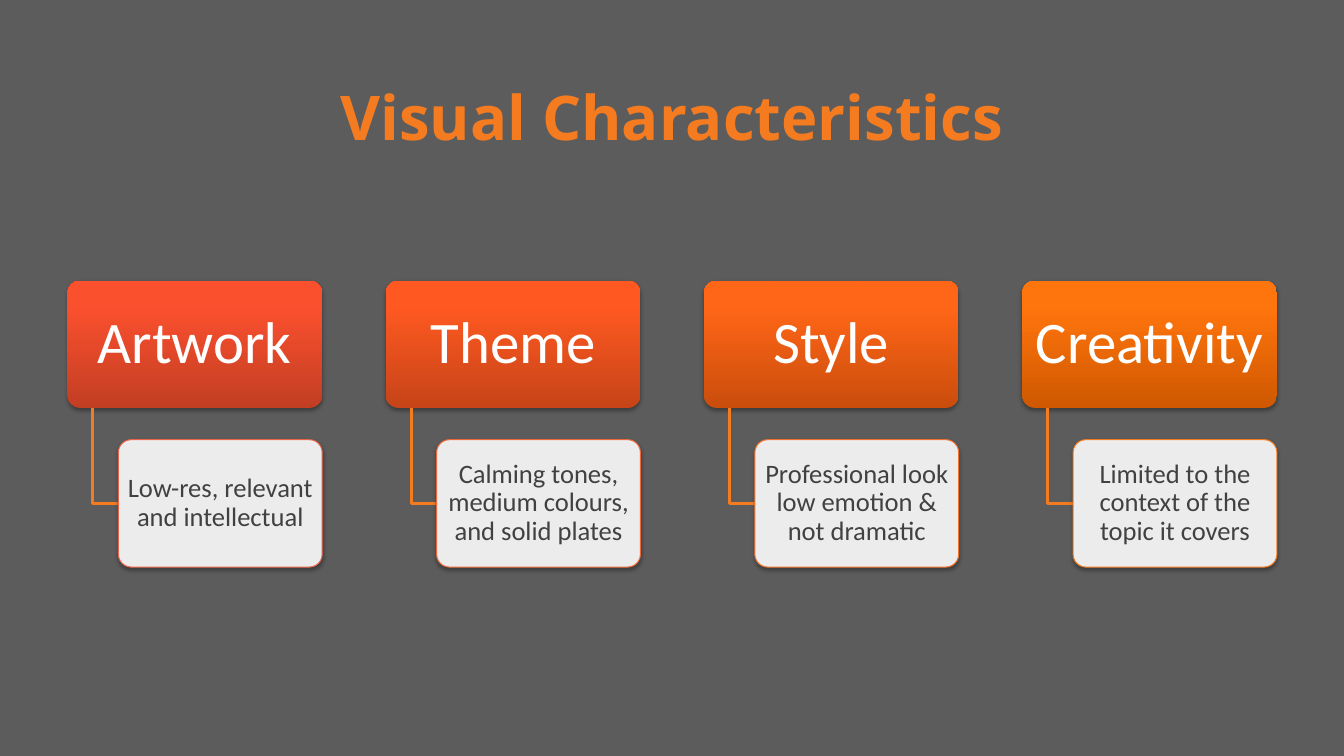
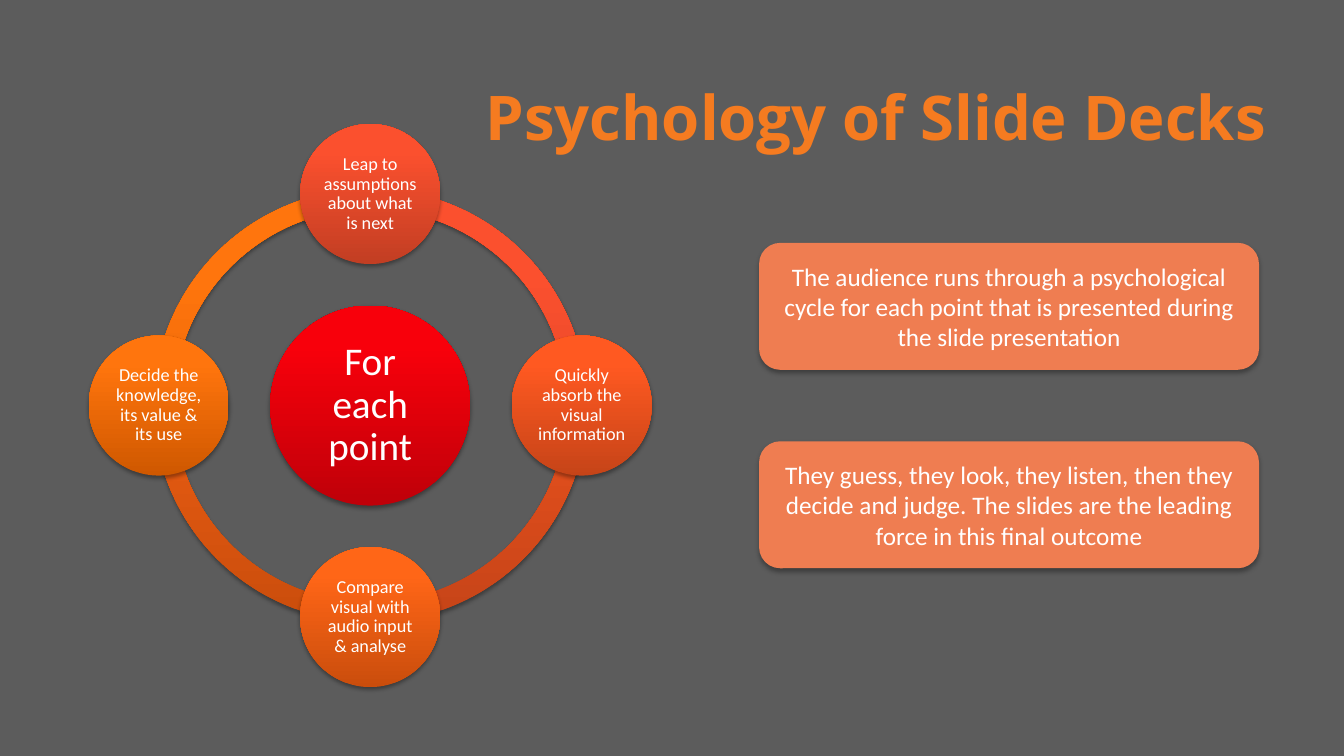
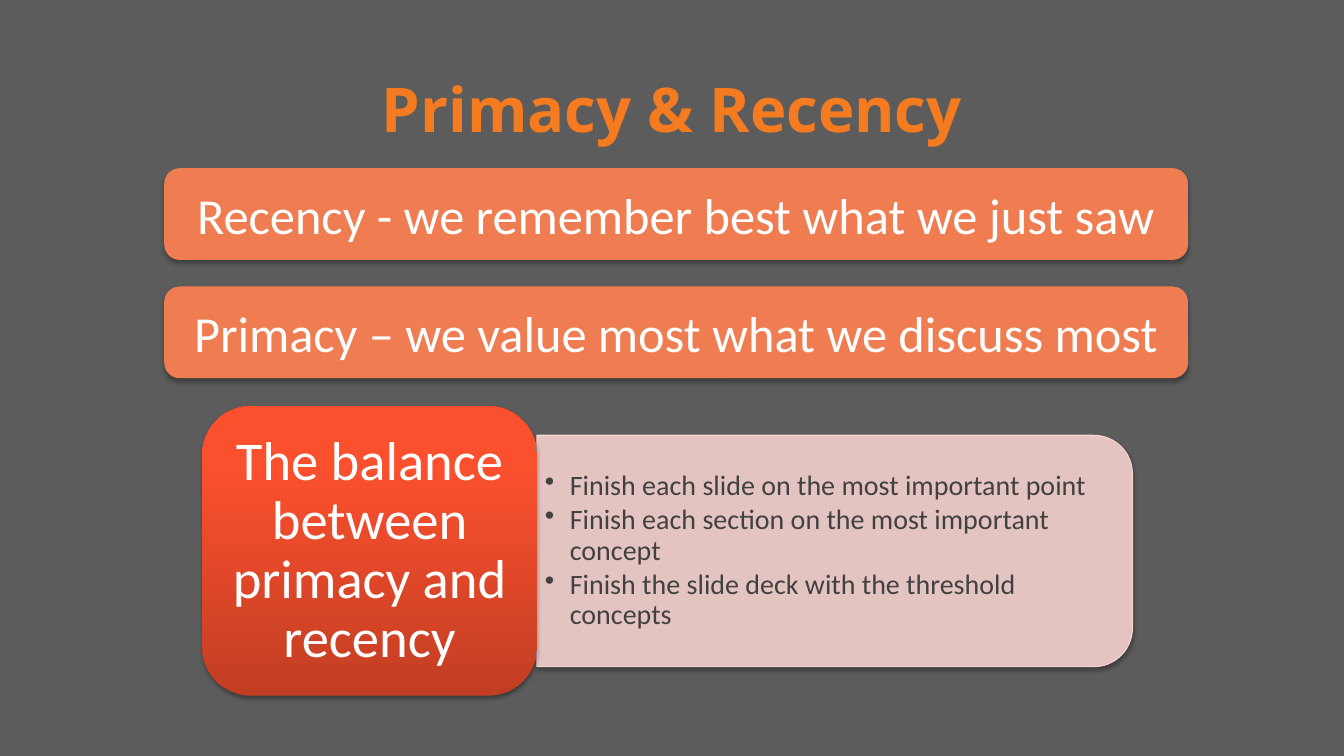
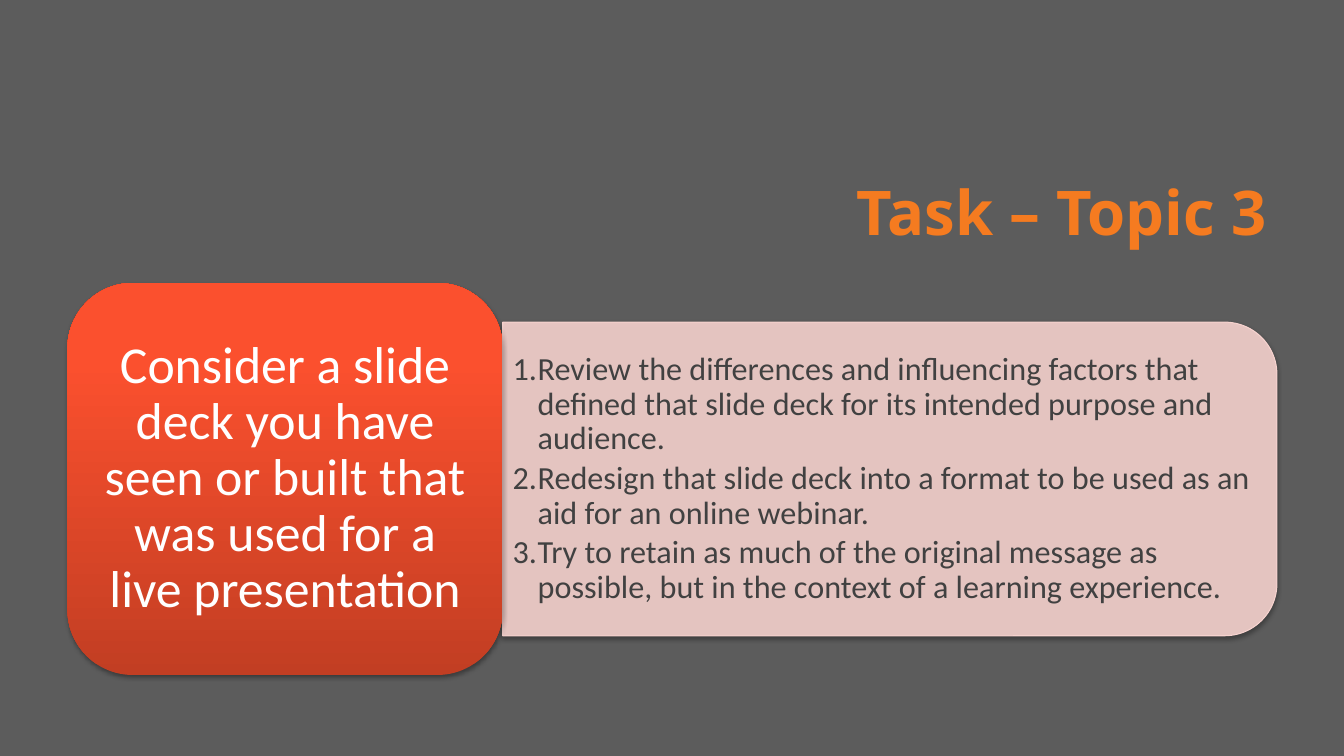
import math

from lxml import etree
from pptx import Presentation
from pptx.dml.color import RGBColor
from pptx.enum.shapes import MSO_SHAPE
from pptx.enum.text import MSO_ANCHOR, PP_ALIGN
from pptx.oxml.ns import qn
from pptx.util import Cm, Pt

ROUNDED = MSO_SHAPE.ROUNDED_RECTANGLE
TWO_ROUNDED = MSO_SHAPE.ROUND_2_SAME_RECTANGLE
OVAL = MSO_SHAPE.OVAL
BLOCK_ARC = MSO_SHAPE.BLOCK_ARC
MIDDLE = MSO_ANCHOR.MIDDLE
LEFT, CENTER, RIGHT = PP_ALIGN.LEFT, PP_ALIGN.CENTER, PP_ALIGN.RIGHT

GRAY = RGBColor(0x5C, 0x5C, 0x5C)
DARK = RGBColor(0x41, 0x41, 0x41)
WHITE = RGBColor(0xFF, 0xFF, 0xFF)
BLACK = RGBColor(0x00, 0x00, 0x00)
ORANGE = RGBColor(0xF5, 0x7B, 0x20)
CORAL = RGBColor(0xEF, 0x7D, 0x51)
PINK = RGBColor(0xF7, 0xD3, 0xCF)
RED_SHADES = (RGBColor(0xBF, 0x00, 0x09), RGBColor(0xF8, 0x00, 0x0B))
STEP_SHADES = [
    (RGBColor(0xC2, 0x3E, 0x23), RGBColor(0xFB, 0x50, 0x2E)),
    (RGBColor(0xC6, 0x44, 0x18), RGBColor(0xFF, 0x59, 0x21)),
    (RGBColor(0xCA, 0x4D, 0x0C), RGBColor(0xFF, 0x66, 0x17)),
    (RGBColor(0xCF, 0x58, 0x00), RGBColor(0xFF, 0x75, 0x0D)),
]
STEP_LINES = [
    RGBColor(0xEB, 0x63, 0x48),
    RGBColor(0xEE, 0x68, 0x3B),
    RGBColor(0xF1, 0x70, 0x2E),
    ORANGE,
]

TITLE_FONT = "Open Sans"
BODY_FONT = "Calibri"
SOFT_SHADOW = (35, 3.1, 1.8)
PANEL_SHADOW = (32, 3.5, 2.2)
DEFAULT_INSETS = (0.25, 0.13)
BULLET = ("a:buChar", {"char": "•"})
NUMBER = ("a:buAutoNum", {"type": "arabicPeriod"})


def add_element(parent, tag, **attributes):
    texts = {name: str(value) for name, value in attributes.items()}
    return etree.SubElement(parent, qn(tag), texts)


class Deck:
    def __init__(self):
        self.presentation = Presentation()
        self.presentation.slide_width = Cm(33.87)
        self.presentation.slide_height = Cm(19.05)
        fill = self.presentation.slide_master.background.fill
        fill.solid()
        fill.fore_color.rgb = GRAY
        self.slide = None

    def start_slide(self, title, align, top=1.32):
        layout = self.presentation.slide_layouts[6]
        self.slide = self.presentation.slides.add_slide(layout)
        box = self.slide.shapes.add_textbox(Cm(1.7), Cm(top), Cm(30.48), Cm(3.18))
        self.set_text(box, [title], 44, ORANGE, align, font=TITLE_FONT, spacing=1)
        run = box.text_frame.paragraphs[0].runs[0]
        run.font.bold = True
        properties = run._r.get_or_add_rPr()
        outline = add_element(properties, "a:ln", w=Pt(0.75))
        outline_fill = add_element(outline, "a:solidFill")
        add_element(outline_fill, "a:srgbClr", val=DARK)
        properties.insert(0, outline)

    def set_text(self, shape, lines, size, color, align=CENTER,
                 insets=DEFAULT_INSETS, font=BODY_FONT, spacing=0.9, marker=None):
        frame = shape.text_frame
        frame.word_wrap = True
        frame.vertical_anchor = MIDDLE
        frame.margin_left = frame.margin_right = Cm(insets[0])
        frame.margin_top = frame.margin_bottom = Cm(insets[1])
        frame.text = "\n".join(lines)
        for paragraph in frame.paragraphs:
            if marker:
                tag, attributes = marker
                properties = paragraph._p.get_or_add_pPr()
                properties.set("marL", str(Cm(0.63)))
                properties.set("indent", str(-Cm(0.63)))
                add_element(properties, tag, **attributes)
                paragraph.space_after = Pt(round(size * 0.15, 1))
            paragraph.alignment = align
            paragraph.line_spacing = spacing
            for run in paragraph.runs:
                run.font.name = font
                run.font.size = Pt(size)
                run.font.color.rgb = color

    def add_shadow(self, shape, opacity, blur, distance):
        shape.shadow.inherit = False
        effects = shape.element.spPr.find(qn("a:effectLst"))
        shadow = add_element(effects, "a:outerShdw", blurRad=Pt(blur),
                             dist=Pt(distance), dir=5400000, rotWithShape=0)
        color = add_element(shadow, "a:srgbClr", val=BLACK)
        add_element(color, "a:alpha", val=opacity * 1000)

    def add_shape(self, kind, left, top, width, height, adjustments=(),
                  shadow=SOFT_SHADOW):
        shape = self.slide.shapes.add_shape(
            kind, Cm(left), Cm(top), Cm(width), Cm(height))
        for index, value in enumerate(adjustments):
            shape.adjustments[index] = value
        shape.line.fill.background()
        self.add_shadow(shape, *shadow)
        return shape

    def add_shaded(self, kind, shades, *place, adjustments=()):
        shape = self.add_shape(kind, *place, adjustments=adjustments)
        shape.fill.gradient()
        shape.fill.gradient_angle = 90
        for stop, position, color in zip(shape.fill.gradient_stops, (0, 0.8), shades):
            stop.position = position
            stop.color.rgb = color
        return shape

    def add_translucent(self, kind, color, line_color, *place, adjustments=()):
        shape = self.add_shape(kind, *place, adjustments=adjustments)
        shape.fill.solid()
        shape.fill.fore_color.rgb = color
        fill_color = shape.element.spPr.find(qn("a:solidFill")).find(qn("a:srgbClr"))
        add_element(fill_color, "a:alpha", val=90000)
        shape.line.color.rgb = line_color
        shape.line.width = Pt(0.75)
        return shape

    def add_panel(self, text, size, *place):
        panel = self.add_shape(ROUNDED, *place, shadow=PANEL_SHADOW)
        panel.fill.solid()
        panel.fill.fore_color.rgb = CORAL
        self.set_text(panel, [text], size, WHITE, spacing=1)

    def add_elbow(self, left, top, width, height):
        builder = self.slide.shapes.build_freeform(Cm(left), Cm(top))
        bottom = Cm(top + height)
        builder.add_line_segments(
            [(Cm(left), bottom), (Cm(left + width), bottom)], close=False)
        elbow = builder.convert_to_shape()
        elbow.fill.background()
        elbow.line.color.rgb = ORANGE
        elbow.line.width = Pt(2)
        elbow.shadow.inherit = False

    def add_branch(self, index, heading, detail):
        left, top, width, height, gap = 1.7 + 8.02 * index, 7.07, 6.42, 3.21, 0.8
        step = width / 10
        leaf_top = top + height + gap
        head = self.add_shaded(ROUNDED, STEP_SHADES[index], left, top, width, height,
                               adjustments=[0.1])
        self.set_text(head, [heading], 42, WHITE, insets=(0.23, 0.15))
        self.add_elbow(left + step, top + height, step, gap + height / 2)
        leaf = self.add_translucent(
            ROUNDED, WHITE, STEP_LINES[index], left + 2 * step, leaf_top,
            width - 2 * step, height, adjustments=[0.1])
        self.set_text(leaf, [detail], 19, DARK, insets=(0.1, 0.08))

    def add_disc(self, shades, center_x, center_y, diameter, text, size, inset):
        disc = self.add_shaded(OVAL, shades, center_x - diameter / 2,
                               center_y - diameter / 2, diameter, diameter)
        self.set_text(disc, [text], size, WHITE, insets=(inset, inset))

    def add_cycle(self, center_text, steps):
        center_x, center_y, ring, orbit = 9.33, 10.22, 10.92, 5.33
        quarter, full = 54, 216
        for index in reversed(range(len(steps))):
            start = (3 + index) * quarter % full
            self.add_shaded(
                BLOCK_ARC, STEP_SHADES[index], center_x - ring / 2,
                center_y - ring / 2, ring, ring,
                adjustments=[start, (start + quarter) % full, 0.046])
        self.add_disc(RED_SHADES, center_x, center_y, 5.04, center_text, 28, 0.1)
        for index, text in enumerate(steps):
            angle = math.tau * index / len(steps)
            self.add_disc(STEP_SHADES[index], center_x + orbit * math.sin(angle),
                          center_y - orbit * math.cos(angle), 3.53, text, 13, 0.05)

    def add_plate_with_list(self, left, top, width, height, body_width, heading,
                            heading_size, items, item_size, marker, insets):
        body_left, body_height = left + width, height * 0.8
        body_top = top + height * 0.1
        corner = body_height * 0.05
        shift = (body_width - body_height) / 2
        body = self.add_translucent(
            TWO_ROUNDED, PINK, PINK, body_left + shift, body_top - shift,
            body_height, body_width)
        body.rotation = 90
        box = self.slide.shapes.add_textbox(
            Cm(body_left), Cm(body_top + corner),
            Cm(body_width - corner), Cm(body_height - 2 * corner))
        self.set_text(box, items, item_size, DARK, LEFT, insets, marker=marker)
        plate = self.add_shaded(ROUNDED, STEP_SHADES[0], left, top, width, height)
        self.set_text(plate, [heading], heading_size, WHITE, insets=(0.4, 0.2))


def main():
    deck = Deck()

    deck.start_slide("Visual Characteristics", CENTER)
    branches = [
        ("Artwork", "Low-res, relevant and intellectual"),
        ("Theme", "Calming tones, medium colours, and solid plates"),
        ("Style", "Professional look low emotion & not dramatic"),
        ("Creativity", "Limited to the context of the topic it covers"),
    ]
    for index, (heading, detail) in enumerate(branches):
        deck.add_branch(index, heading, detail)

    deck.start_slide("Psychology of Slide Decks", RIGHT)
    deck.add_cycle("For each point", [
        "Leap to assumptions about what is next",
        "Quickly absorb the visual information",
        "Compare visual with audio input & analyse",
        "Decide the knowledge, its value & its use",
    ])
    audience_notes = [
        "The audience runs through a psychological cycle for each point that is "
        "presented during the slide presentation",
        "They guess, they look, they listen, then they decide and judge. "
        "The slides are the leading force in this final outcome",
    ]
    for index, text in enumerate(audience_notes):
        deck.add_panel(text, 18, 19.13, 6.12 + 5 * index, 12.6, 3.2)

    deck.start_slide("Primacy & Recency", CENTER, top=1.12)
    deck.add_plate_with_list(
        5.1, 10.24, 8.43, 7.29, 15.01,
        "The balance between primacy and recency", 39,
        [
            "Finish each slide on the most important point",
            "Finish each section on the most important concept",
            "Finish the slide deck with the threshold concepts",
        ], 20, BULLET, (0.2, 0.1))
    effects = [
        "Recency - we remember best what we just saw",
        "Primacy – we value most what we discuss most",
    ]
    for index, text in enumerate(effects):
        deck.add_panel(text, 36, 4.14, 4.24 + 2.98 * index, 25.8, 2.31)

    deck.start_slide("Task – Topic 3", RIGHT, top=3.73)
    deck.add_plate_with_list(
        1.7, 7.13, 10.97, 9.88, 19.51,
        "Consider a slide deck you have seen or built that was used for a "
        "live presentation", 37,
        [
            "Review the differences and influencing factors that defined that "
            "slide deck for its intended purpose and audience.",
            "Redesign that slide deck into a format to be used as an aid for an "
            "online webinar.",
            "Try to retain as much of the original message as possible, but in "
            "the context of a learning experience.",
        ], 23, NUMBER, DEFAULT_INSETS)

    deck.presentation.save("out.pptx")


if __name__ == "__main__":
    main()
